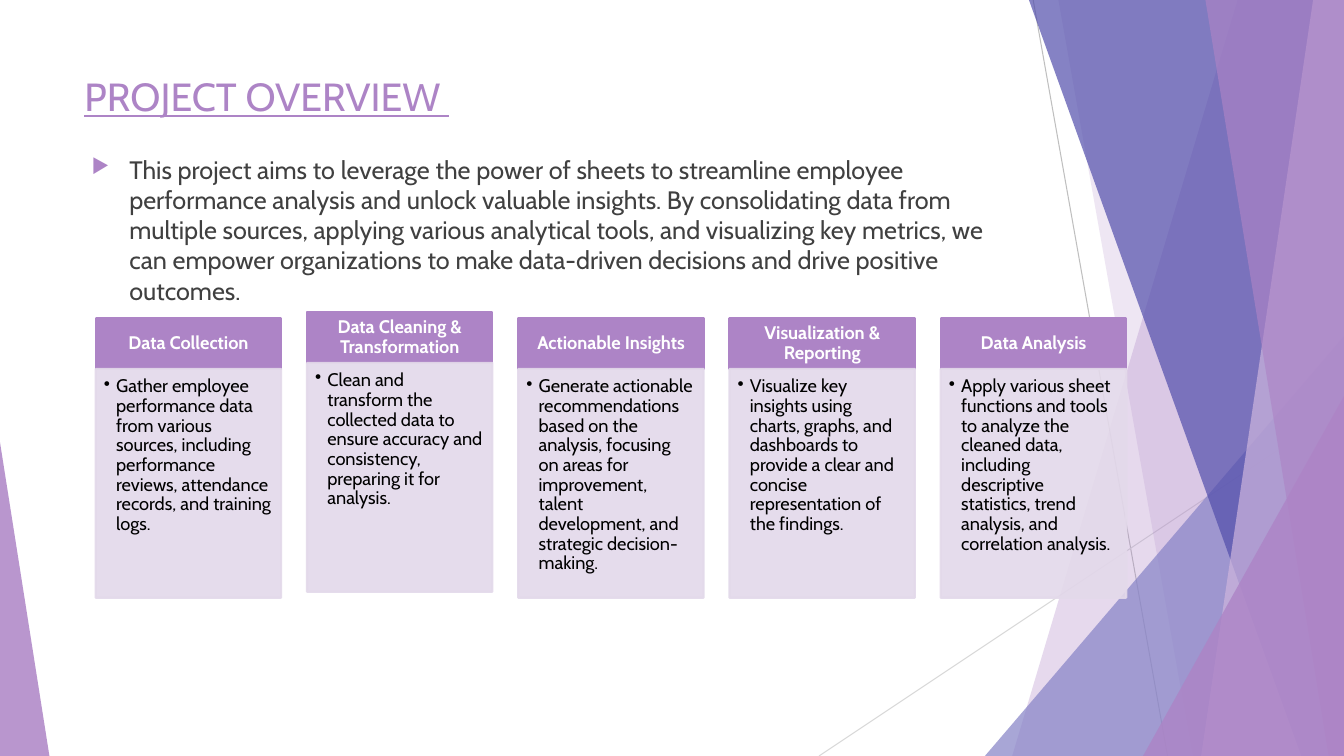
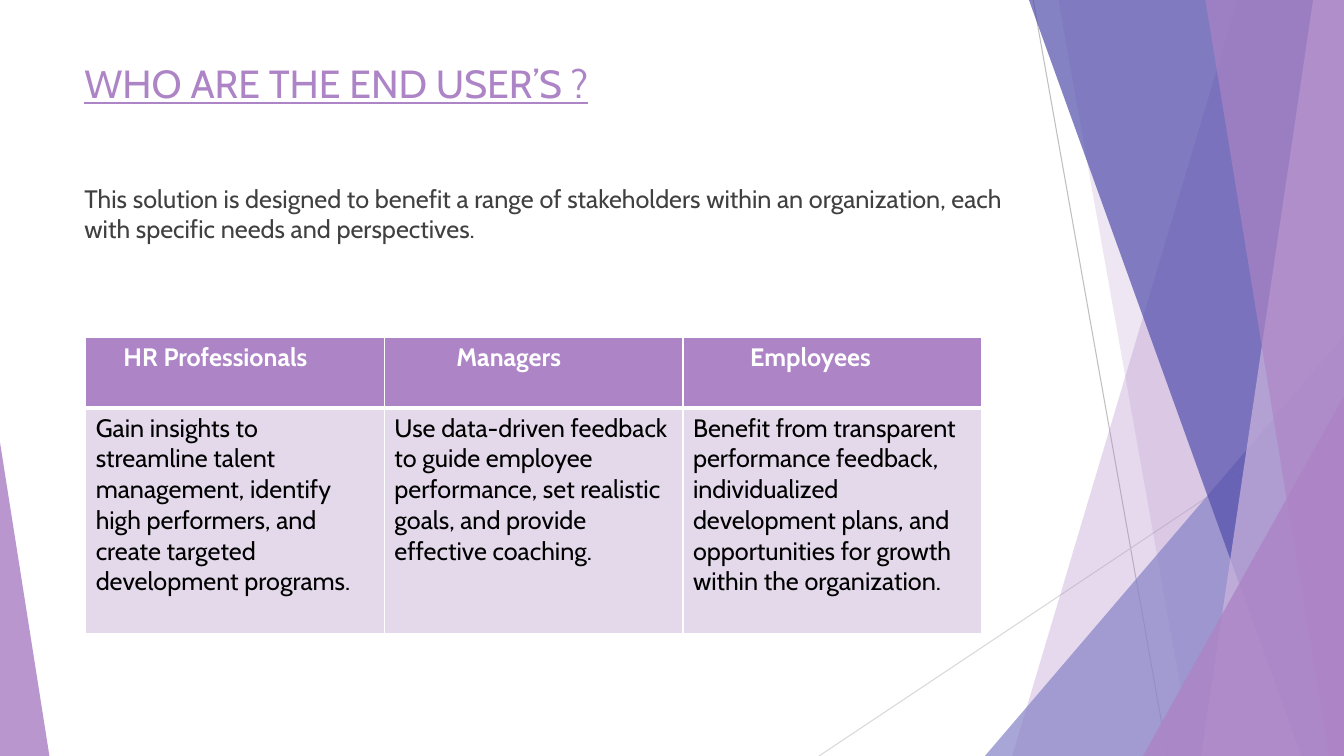
"""Builds two slides on an employee performance project: overview and end users."""
from lxml.etree import SubElement
from pptx import Presentation
from pptx.dml.color import RGBColor
from pptx.enum.shapes import MSO_CONNECTOR as Connector, MSO_SHAPE as Shape
from pptx.enum.text import MSO_ANCHOR as Anchor, PP_ALIGN as Align
from pptx.oxml.ns import qn
from pptx.util import Pt

PURPLE = RGBColor(0xAD, 0x84, 0xC6)
LILAC = RGBColor(0xCE, 0xB5, 0xDD)
PALE = RGBColor(0xE3, 0xD9, 0xEA)
PERIWINKLE = RGBColor(0x87, 0x84, 0xC7)
INDIGO = RGBColor(0x52, 0x4E, 0xAB)
GRAY = RGBColor(0xBF, 0xBF, 0xBF)
LIGHT_GRAY = RGBColor(0xD9, 0xD9, 0xD9)
CHARCOAL = RGBColor(0x40, 0x40, 0x40)
BLACK = RGBColor(0, 0, 0)
WHITE = RGBColor(0xFF, 0xFF, 0xFF)

FONT = "Cabin"
WIDTH, HEIGHT = 960, 540

CARDS = [
    ("Data Collection", "Gather employee performance data from various sources, including "
     "performance reviews, attendance records, and training logs.", 0),
    ("Data Cleaning & Transformation", "Clean and transform the collected data to ensure "
     "accuracy and consistency, preparing it for analysis.", 4.3),
    ("Actionable Insights", "Generate actionable recommendations based on the analysis, focusing "
     "on areas for improvement, talent development, and strategic decision-making.", 0),
    ("Visualization & Reporting", "Visualize key insights using charts, graphs, and dashboards to "
     "provide a clear and concise representation of the findings.", 0),
    ("Data Analysis", "Apply various sheet functions and tools to analyze the cleaned data, "
     "including descriptive statistics, trend analysis, and correlation analysis.", 0),
]

END_USERS = [
    ("HR Professionals", 27, "Gain insights to streamline talent management, identify high "
     "performers, and create targeted development programs."),
    ("Managers", 51.5, "Use data-driven feedback to guide employee performance, set realistic "
     "goals, and provide effective coaching."),
    ("Employees", 48, "Benefit from transparent performance feedback, individualized development "
     "plans, and opportunities for growth within the organization."),
]


def write(frame, text, size=18, color=BLACK, bold=False, underline=False, align=Align.LEFT,
          spacing=None, bullet=None, indent=0, bullet_color=None, bullet_size=100):
    para = frame.paragraphs[0]
    para.alignment = align
    if spacing:
        para.line_spacing = spacing
    if bullet:
        props = para._p.get_or_add_pPr()
        props.set("marL", str(Pt(indent)))
        props.set("indent", str(-Pt(indent)))
        holder = SubElement(props, qn("a:buClr"))
        SubElement(holder, qn("a:srgbClr"), val=str(bullet_color or color))
        SubElement(props, qn("a:buSzPct"), val=str(bullet_size * 1000))
        SubElement(props, qn("a:buChar"), char=bullet)
    span = para.add_run()
    span.text = text
    font = span.font
    font.name, font.size, font.bold, font.underline = FONT, Pt(size), bold, underline
    font.color.rgb = color


class Pages:
    def __init__(self):
        self.deck = Presentation()
        self.deck.slide_width, self.deck.slide_height = Pt(WIDTH), Pt(HEIGHT)
        self.page = None

    def start(self, title, top):
        self.page = self.deck.slides.add_slide(self.deck.slide_layouts[6])
        self.backdrop()
        self.text(53.3, top, 676.8, 103.7, title, size=28, color=PURPLE, underline=True)

    def backdrop(self):
        self.line(738, 0, 834, HEIGHT, GRAY)
        self.line(WIDTH, 290, 585, HEIGHT, LIGHT_GRAY)
        self.ribbon(884, 723, PURPLE, 30)
        self.ribbon(756, 852, PURPLE, 20)
        self.triangle(703.5, 240, 256.5, 1, PERIWINKLE, 72)
        self.ribbon(735, 929.5, INDIGO, 70)
        self.ribbon(938, 858, LILAC, 70)
        self.ribbon(861, 949, PURPLE, 65)
        self.triangle(816.5, 283, 143.5, 1, PURPLE, 80)
        self.triangle(0, 316, 35.3, 0, PURPLE, 85)

    def line(self, x1, y1, x2, y2, color):
        line = self.page.shapes.add_connector(Connector.STRAIGHT, Pt(x1), Pt(y1), Pt(x2), Pt(y2))
        line.line.color.rgb = color
        line.line.width = Pt(0.75)
        SubElement(line._element.spPr, qn("a:effectLst"))

    def paint(self, shape, color, opacity, border=None):
        shape.shadow.inherit = False
        shape.fill.solid()
        shape.fill.fore_color.rgb = color
        if border:
            shape.line.color.rgb = color
            shape.line.width = Pt(border)
        else:
            shape.line.fill.background()
        if opacity < 100:
            for tint in shape._element.spPr.iter(qn("a:srgbClr")):
                SubElement(tint, qn("a:alpha"), val=str(opacity * 1000))

    def ribbon(self, top_left, bottom_left, color, opacity):
        outline = self.page.shapes.build_freeform(Pt(top_left), 0)
        corners = [(WIDTH, 0), (WIDTH, HEIGHT), (bottom_left, HEIGHT)]
        outline.add_line_segments([(Pt(x), Pt(y)) for x, y in corners])
        self.paint(outline.convert_to_shape(), color, opacity)

    def triangle(self, left, top, width, apex, color, opacity):
        shape = self.page.shapes.add_shape(
            Shape.ISOSCELES_TRIANGLE, Pt(left), Pt(top), Pt(width), Pt(HEIGHT - top))
        shape.adjustments[0] = apex
        self.paint(shape, color, opacity)

    def text(self, left, top, width, height, text, **style):
        box = self.page.shapes.add_textbox(Pt(left), Pt(top), Pt(width), Pt(height))
        box.text_frame.word_wrap = True
        write(box.text_frame, text, **style)

    def panel(self, left, top, width, height, text, fill, opacity, insets, anchor, **style):
        box = self.page.shapes.add_shape(
            Shape.RECTANGLE, Pt(left), Pt(top), Pt(width), Pt(height))
        self.paint(box, fill, opacity, border=1.5)
        frame = box.text_frame
        frame.word_wrap = True
        frame.vertical_anchor = anchor
        (frame.margin_left, frame.margin_top,
         frame.margin_right, frame.margin_bottom) = map(Pt, insets)
        write(frame, text, size=13, spacing=0.9, **style)

    def card(self, left, top, heading, detail):
        self.panel(left, top, 132.5, 36, heading, PURPLE, 100, (7.2, 4, 7.2, 4), Anchor.MIDDLE,
                   color=WHITE, bold=True, align=Align.CENTER)
        self.panel(left, top + 36, 132.5, 163.5, detail, PALE, 90, (5.8, 5.8, 7.2, 8), Anchor.TOP,
                   bullet="•", indent=8.8)

    def cell(self, cell, text, fill, borders, inset=7.2, **style):
        props = cell._tc.get_or_add_tcPr()
        for side, width in zip("LRTB", borders):
            edge = SubElement(props, qn(f"a:ln{side}"), w=str(Pt(width)))
            SubElement(SubElement(edge, qn("a:solidFill")), qn("a:srgbClr"), val=str(WHITE))
        cell.fill.solid()
        cell.fill.fore_color.rgb = fill
        cell.margin_left = Pt(inset)
        write(cell.text_frame, text, **style)

    def table(self, left, top, width, heights, columns):
        frame = self.page.shapes.add_table(
            len(heights), len(columns), Pt(left), Pt(top), Pt(width), Pt(sum(heights)))
        table = frame.table
        table.horz_banding = False
        for row, height in zip(table.rows, heights):
            row.height = Pt(height)
        for index, (heading, inset, detail) in enumerate(columns):
            table.columns[index].width = Pt(width / len(columns))
            self.cell(table.cell(0, index), heading, PURPLE, (1, 1, 1, 3), inset,
                      color=WHITE, bold=True)
            self.cell(table.cell(1, index), detail, PALE, (1, 1, 3, 1))


def main():
    pages = Pages()

    pages.start("PROJECT OVERVIEW ", 48.2)
    pages.text(58.3, 106.5, 676.8, 305.3,
               "This project aims to leverage the power of sheets to streamline employee performance "
               "analysis and unlock valuable insights. By consolidating data from multiple sources, "
               "applying various analytical tools, and visualizing key metrics, we can empower "
               "organizations to make data-driven decisions and drive positive outcomes.",
               color=CHARCOAL, bullet="▶", indent=27, bullet_color=PURPLE, bullet_size=80)
    for index, (heading, detail, lift) in enumerate(CARDS):
        pages.card(68.4 + index * 150.9, 227.5 - lift, heading, detail)

    pages.start("WHO ARE THE END USER’S ?", 38.9)
    pages.text(53.3, 127.4, 676.8, 305.3,
               "This solution is designed to benefit a range of stakeholders within an organization, "
               "each with specific needs and perspectives.", color=CHARCOAL)
    pages.table(61.2, 240.8, 640, (50.5, 161.5), END_USERS)

    pages.deck.save("out.pptx")


if __name__ == "__main__":
    main()
